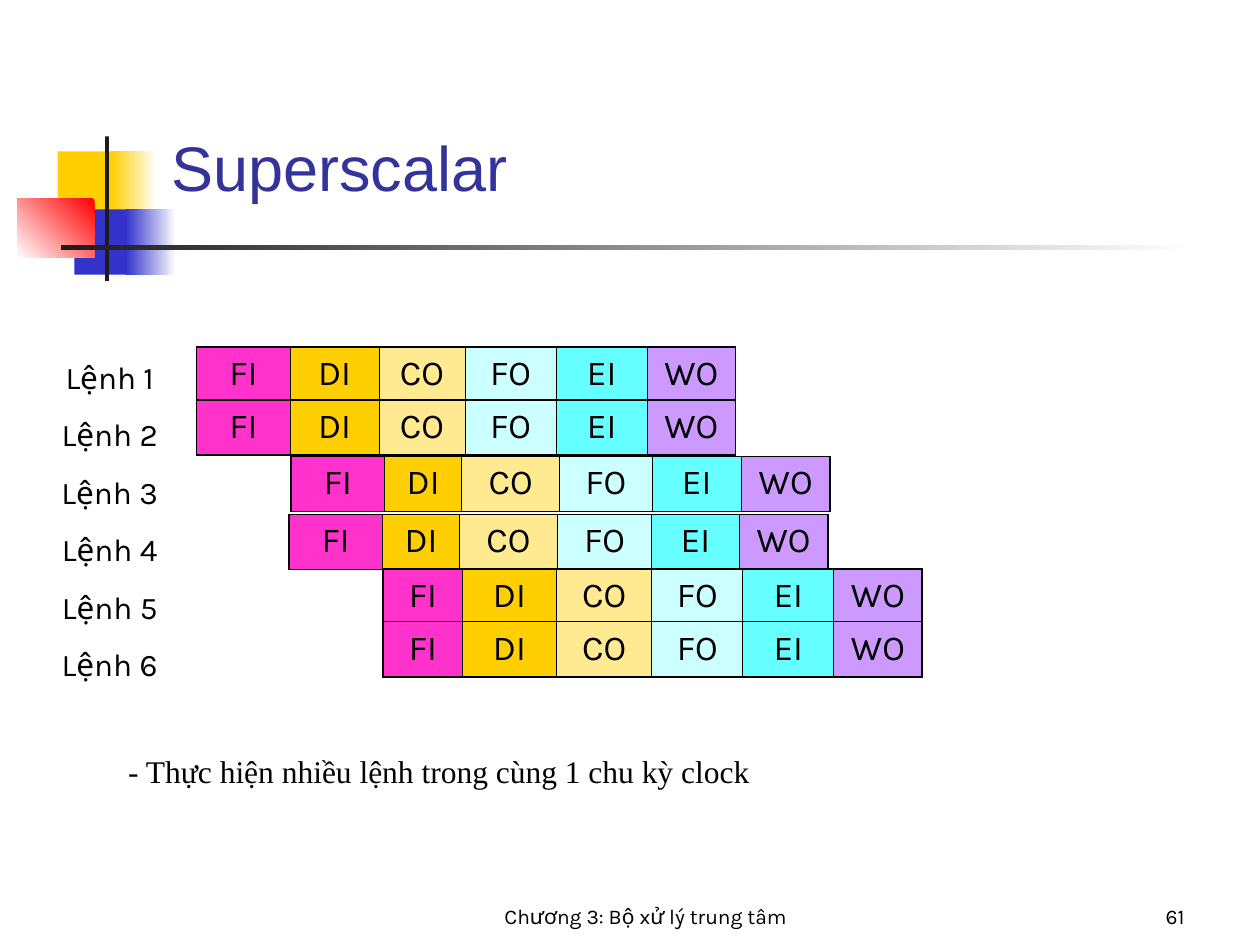
import pptx
import pptx.util
import pptx.dml.color
import pptx.enum.shapes
import pptx.enum.text
import pptx.oxml

Pt = pptx.util.Pt
RGBColor = pptx.dml.color.RGBColor
ALIGN = pptx.enum.text.PP_ALIGN
ANCHOR = pptx.enum.text.MSO_ANCHOR

WHITE = RGBColor(0xFF, 0xFF, 0xFF)
BLACK = RGBColor(0x00, 0x00, 0x00)
CHARCOAL = RGBColor(0x1C, 0x1C, 0x1C)
GOLD = RGBColor(0xFF, 0xCF, 0x01)
BLUE = RGBColor(0x33, 0x33, 0xCC)
RED = RGBColor(0xFF, 0x00, 0x00)
NAVY = RGBColor(0x33, 0x33, 0x9B)
PINK = RGBColor(0xFF, 0x33, 0xCC)
SAND = RGBColor(0xFF, 0xEA, 0x91)
ICE = RGBColor(0xCC, 0xFF, 0xFF)
AQUA = RGBColor(0x66, 0xFF, 0xFF)
VIOLET = RGBColor(0xCC, 0x99, 0xFF)

TITLE = "Superscalar"
NOTE = "- Thực hiện nhiều lệnh trong cùng 1 chu kỳ clock"
FOOTER = "Chương 3: Bộ xử lý trung tâm"
PAGE_NUMBER = "61"

STAGES = [("FI", PINK), ("DI", GOLD), ("CO", SAND),
          ("FO", ICE), ("EI", AQUA), ("WO", VIOLET)]

FIRST_WIDTHS = (53.5, 50.75, 49.25, 52, 52, 50.5)
LAST_WIDTHS = (45.25, 53.75, 54.5, 52, 52, 50.5)
INSTRUCTIONS = [
    ("Lệnh 1", 112.3, 198.2, FIRST_WIDTHS),
    ("Lệnh 2", 112.3, 228.5, FIRST_WIDTHS),
    ("Lệnh 3", 166.3, 260.8, (53.5, 44, 56, 52.75, 51.25, 50.5)),
    ("Lệnh 4", 165.1, 294, (53.5, 44, 56, 53.75, 50.25, 50.5)),
    ("Lệnh 5", 219, 325, LAST_WIDTHS),
    ("Lệnh 6", 219, 355.2, LAST_WIDTHS),
]
ROW_HEIGHT = 31.5
OUTER_LINE, INNER_LINE = 1.08, 0.45

DECORATIONS = [
    ((33, 86.5, 35, 37.5), [GOLD], None),
    ((63.5, 86.5, 26, 37.5), [WHITE, GOLD], 180),
    ((42.5, 119.7, 33, 37.3), [BLUE], None),
    ((72, 119.7, 28.5, 37.3), [WHITE, BLUE], 180),
    ((10, 113.7, 44, 33.5), [RED, WHITE], 225),
    ((60, 78, 2.25, 82.5), [CHARCOAL], None),
    ((34.75, 140.2, 648, 2.5), [WHITE, CHARCOAL], 180),
]


def add_decoration(slide, box, colors, angle):
    shape = slide.shapes.add_shape(
        pptx.enum.shapes.MSO_SHAPE.RECTANGLE, *map(Pt, box))
    shape.shadow.inherit = False
    shape.line.fill.background()
    if angle is None:
        shape.fill.solid()
        shape.fill.fore_color.rgb = colors[0]
    else:
        shape.fill.gradient()
        shape.fill.gradient_angle = angle
        for stop, color in zip(shape.fill.gradient_stops, colors):
            stop.color.rgb = color


def format_paragraph(paragraph, size, font, alignment, color=BLACK):
    paragraph.alignment = alignment
    paragraph.font.size = Pt(size)
    paragraph.font.name = font
    paragraph.font.color.rgb = color


def add_text(slide, box, lines, size, font, alignment,
             anchor=ANCHOR.TOP, spacing=0):
    frame = slide.shapes.add_textbox(*map(Pt, box)).text_frame
    frame.word_wrap = True
    frame.vertical_anchor = anchor
    frame.text = "\n".join(lines)
    for index, paragraph in enumerate(frame.paragraphs):
        format_paragraph(paragraph, size, font, alignment)
        if index and spacing:
            paragraph.space_before = Pt(spacing)


def add_border(cell, side, width):
    cell._tc.get_or_add_tcPr().append(pptx.oxml.parse_xml(
        f'<a:ln{side} xmlns:a="http://schemas.openxmlformats.org/drawingml/2006/main" '
        f'w="{int(Pt(width))}"><a:solidFill><a:srgbClr val="{BLACK}"/>'
        f'</a:solidFill></a:ln{side}>'))


def add_pipeline(slide, left, top, widths):
    table = slide.shapes.add_table(
        1, len(STAGES), Pt(left), Pt(top), Pt(sum(widths)), Pt(ROW_HEIGHT)).table
    table.first_row = False
    table.horz_banding = False
    last = len(STAGES) - 1
    for column, ((stage, color), width) in enumerate(zip(STAGES, widths)):
        table.columns[column].width = Pt(width)
        cell = table.cell(0, column)
        add_border(cell, "L", OUTER_LINE if column == 0 else INNER_LINE)
        add_border(cell, "R", OUTER_LINE if column == last else INNER_LINE)
        add_border(cell, "T", OUTER_LINE)
        add_border(cell, "B", OUTER_LINE)
        cell.fill.solid()
        cell.fill.fore_color.rgb = color
        cell.text = stage
        format_paragraph(cell.text_frame.paragraphs[0], 20, "Karla", ALIGN.CENTER)


def main():
    presentation = pptx.Presentation()
    presentation.slide_width, presentation.slide_height = Pt(720), Pt(540)
    slide = presentation.slides.add_slide(presentation.slide_layouts[5])

    for decoration in DECORATIONS:
        add_decoration(slide, *decoration)

    title = slide.shapes.title
    title.left, title.top, title.width, title.height = map(Pt, (90.7, 72, 613.5, 48.2))
    title.text_frame.text = TITLE
    title.text_frame.vertical_anchor = ANCHOR.BOTTOM
    title.text_frame.auto_size = pptx.enum.text.MSO_AUTO_SIZE.NONE
    format_paragraph(title.text_frame.paragraphs[0], 36, "Arial", ALIGN.LEFT, NAVY)

    for label, left, top, widths in INSTRUCTIONS:
        add_pipeline(slide, left, top, widths)

    add_text(slide, (23.8, 201, 77.8, 193), [row[0] for row in INSTRUCTIONS],
             18, "Karla", ALIGN.CENTER, spacing=11.2)
    add_text(slide, (66.2, 426.2, 581.8, 29), [NOTE],
             18, "Times New Roman", ALIGN.LEFT)
    add_text(slide, (150, 498, 438, 36), [FOOTER],
             12, "Karla", ALIGN.CENTER, ANCHOR.BOTTOM)
    add_text(slide, (600, 498, 84, 36), [PAGE_NUMBER],
             12, "Karla", ALIGN.RIGHT, ANCHOR.BOTTOM)

    presentation.save("out.pptx")


if __name__ == "__main__":
    main()
